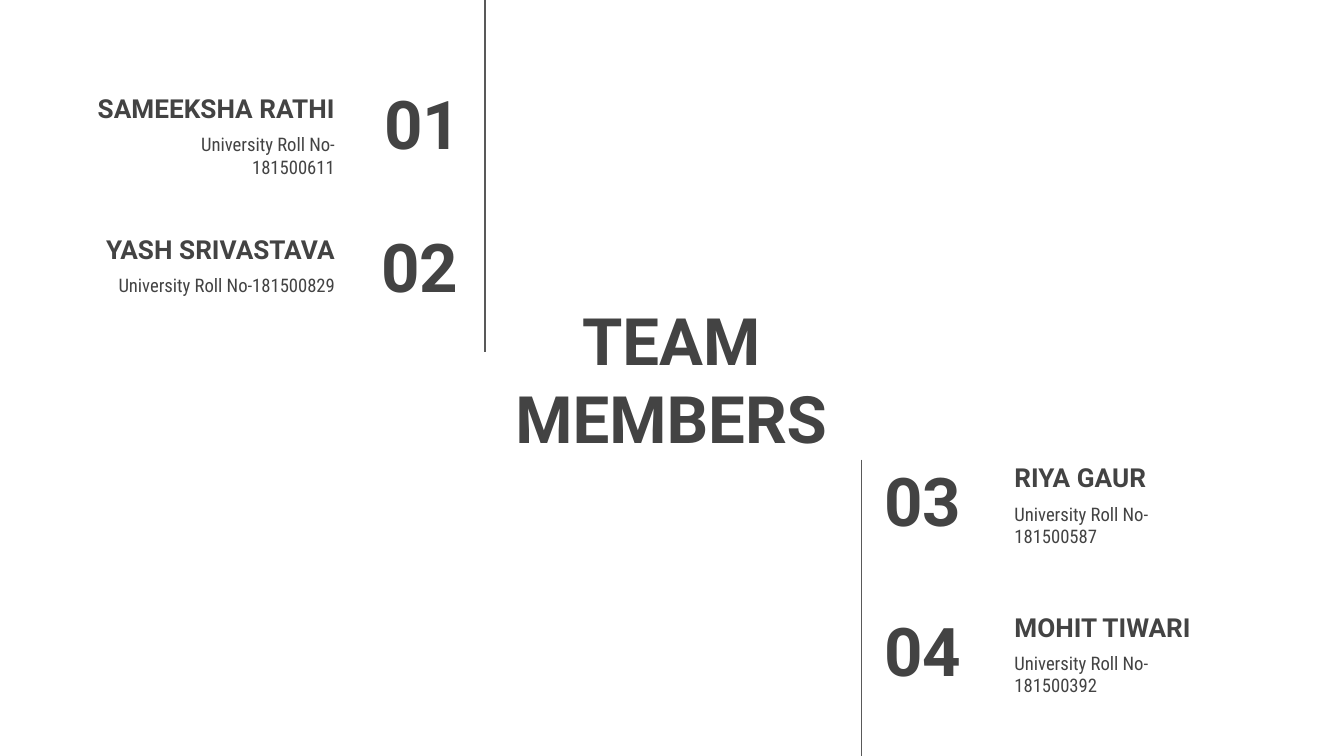
from lxml.etree import SubElement
from pptx import Presentation
from pptx.dml.color import RGBColor
from pptx.enum.shapes import MSO_CONNECTOR
from pptx.enum.text import MSO_ANCHOR as Anchor, MSO_AUTO_SIZE, PP_ALIGN as Align
from pptx.oxml.ns import qn
from pptx.util import Inches, Pt

COLORS = {"text": "434343", "line": "595959", "background": "FFFFFF"}
HEADING, BODY = "Roboto", "Roboto Condensed"

# Content: number, name, roll number text, then name top, number left and number top
TITLE = ["TEAM", "MEMBERS"]
LEFT_MEMBERS = [
    ("01", "SAMEEKSHA RATHI", "University Roll No- 181500611", 0.39, 2.32, 0.6),
    ("02", "YASH SRIVASTAVA", "University Roll No-181500829", 1.44, 2.3, 1.66),
]
RIGHT_MEMBERS = [
    ("03", "RIYA GAUR", "University Roll No- 181500587", 3.14, 6.48, 3.4),
    ("04", "MOHIT TIWARI", "University Roll No- 181500392", 4.25, 6.48, 4.52),
]

# Geometry of each side
SIDES = [
    dict(members=LEFT_MEMBERS, align=Align.RIGHT, name_left=0.43, roll_left=0.76,
         number_width=1.21),
    dict(members=RIGHT_MEMBERS, align=Align.LEFT, name_left=7.45, roll_left=7.45,
         number_width=1.17),
]
NAME_WIDTH, ROLL_WIDTH, ROW_HEIGHT, ROLL_DROP = 2.16, 1.83, 0.63, 0.5
DIVIDERS = [(3.61, 0, 2.62), (6.41, 3.42, 5.64)]  # x, top, bottom


def write(shape, lines, size, font, align, anchor, bold=True):
    frame = shape.text_frame
    frame.word_wrap = True
    frame.auto_size = MSO_AUTO_SIZE.NONE
    frame.vertical_anchor = anchor
    frame.margin_left = frame.margin_right = Inches(0.1)
    frame.margin_top = frame.margin_bottom = Inches(0.1)
    frame.text = "\n".join(lines)
    for paragraph in frame.paragraphs:
        paragraph.alignment = align
        paragraph.line_spacing = 1
        paragraph.space_before = Pt(0)
        paragraph.font.size = Pt(size)
        paragraph.font.name = font
        paragraph.font.bold = bold
        paragraph.font.color.rgb = RGBColor.from_string(COLORS["text"])


def add_text(slide, left, top, width, text, *style):
    box = slide.shapes.add_textbox(
        Inches(left), Inches(top), Inches(width), Inches(ROW_HEIGHT))
    write(box, [text], *style)


def add_divider(slide, x, top, bottom):
    line = slide.shapes.add_connector(
        MSO_CONNECTOR.STRAIGHT, Inches(x), Inches(top), Inches(x), Inches(bottom))
    line.line.color.rgb = RGBColor.from_string(COLORS["line"])
    line.line.width = Pt(0.75)
    SubElement(line._element.spPr, qn("a:effectLst"))


def main():
    presentation = Presentation()
    presentation.slide_width = Inches(10)
    presentation.slide_height = Inches(10) * 9 // 16  # widescreen
    slide = presentation.slides.add_slide(presentation.slide_layouts[5])
    slide.background.fill.solid()
    slide.background.fill.fore_color.rgb = RGBColor.from_string(COLORS["background"])

    # Title
    title = slide.shapes.title
    title.left, title.top = Inches(3.7), Inches(2.3)
    title.width, title.height = Inches(2.59), Inches(1.03)
    write(title, TITLE, 35, HEADING, Align.CENTER, Anchor.MIDDLE)

    # Team members
    for side in SIDES:
        align = side["align"]
        for number, name, roll, top, number_left, number_top in side["members"]:
            add_text(slide, side["name_left"], top, NAME_WIDTH, name,
                     14, HEADING, align, Anchor.BOTTOM)
            add_text(slide, side["roll_left"], top + ROLL_DROP, ROLL_WIDTH, roll,
                     10, BODY, align, Anchor.TOP, False)
            add_text(slide, number_left, number_top, side["number_width"], number,
                     36, HEADING, align, Anchor.MIDDLE)

    # Vertical dividers
    for divider in DIVIDERS:
        add_divider(slide, *divider)

    presentation.save("out.pptx")


if __name__ == "__main__":
    main()
